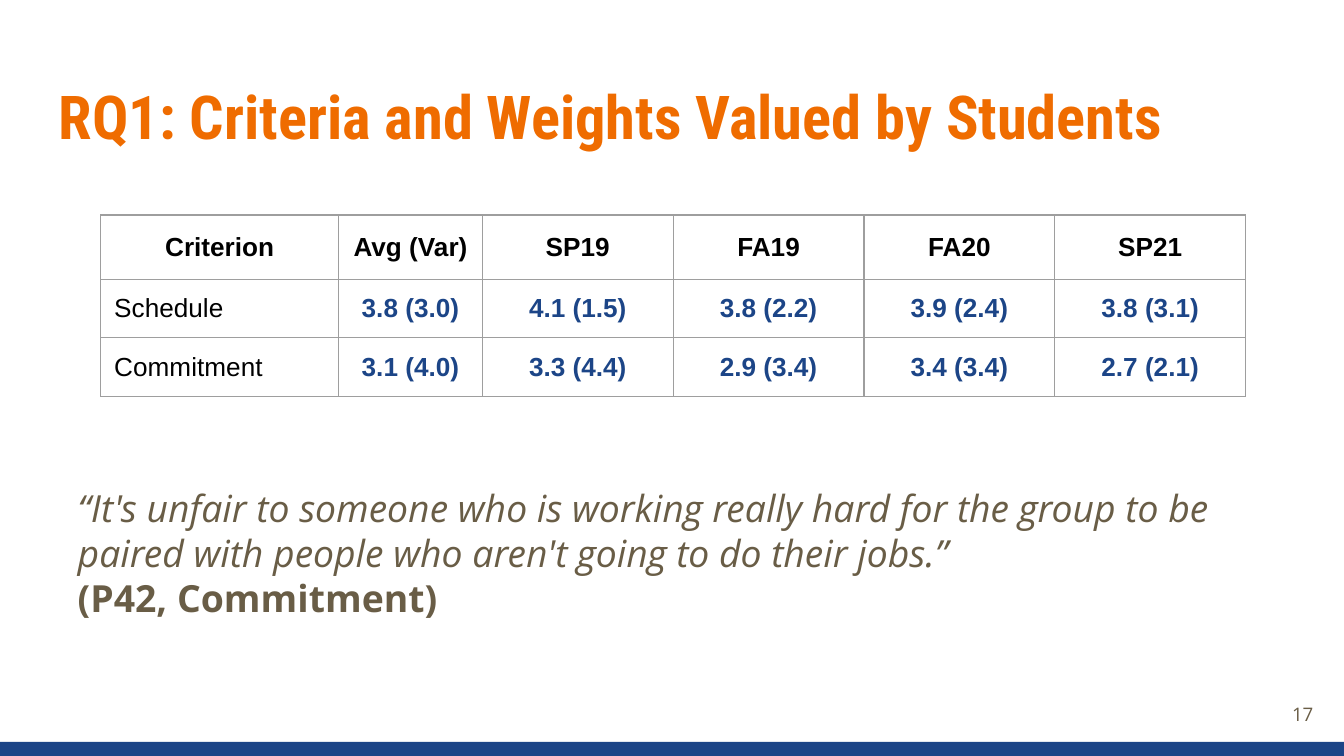
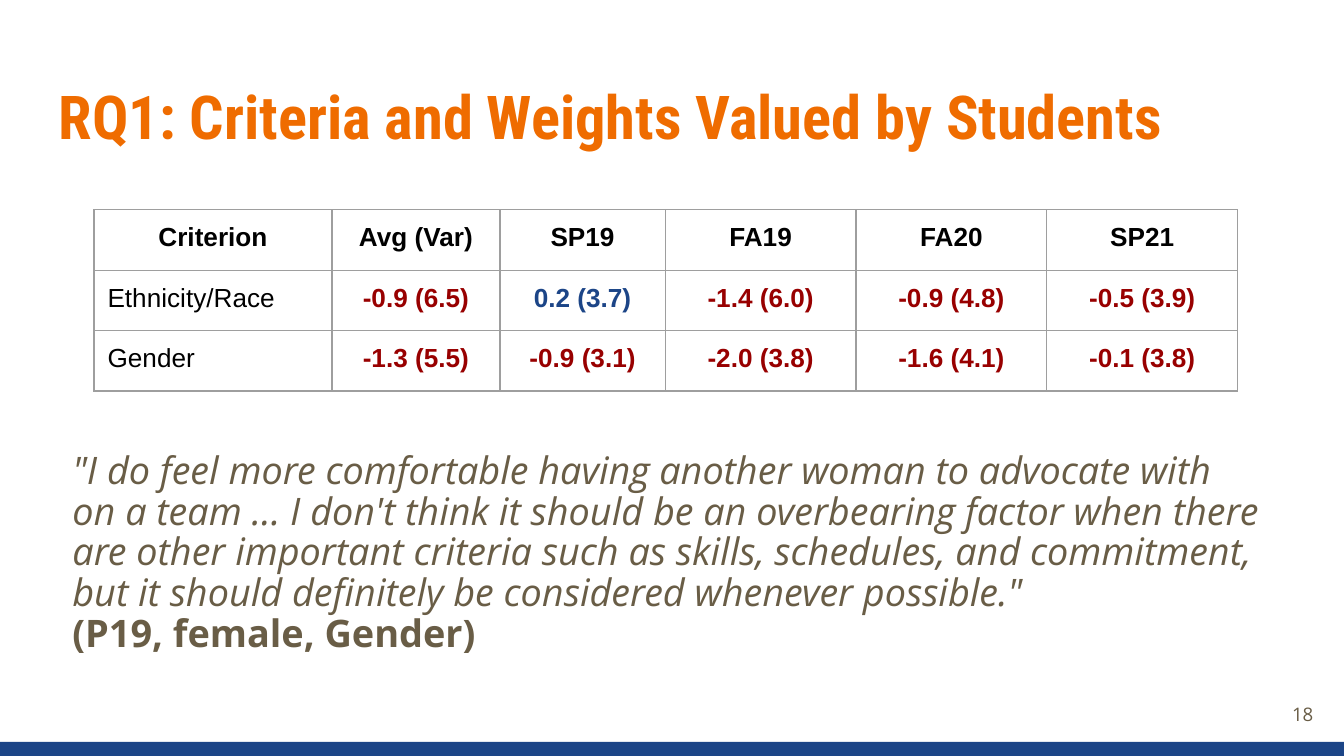
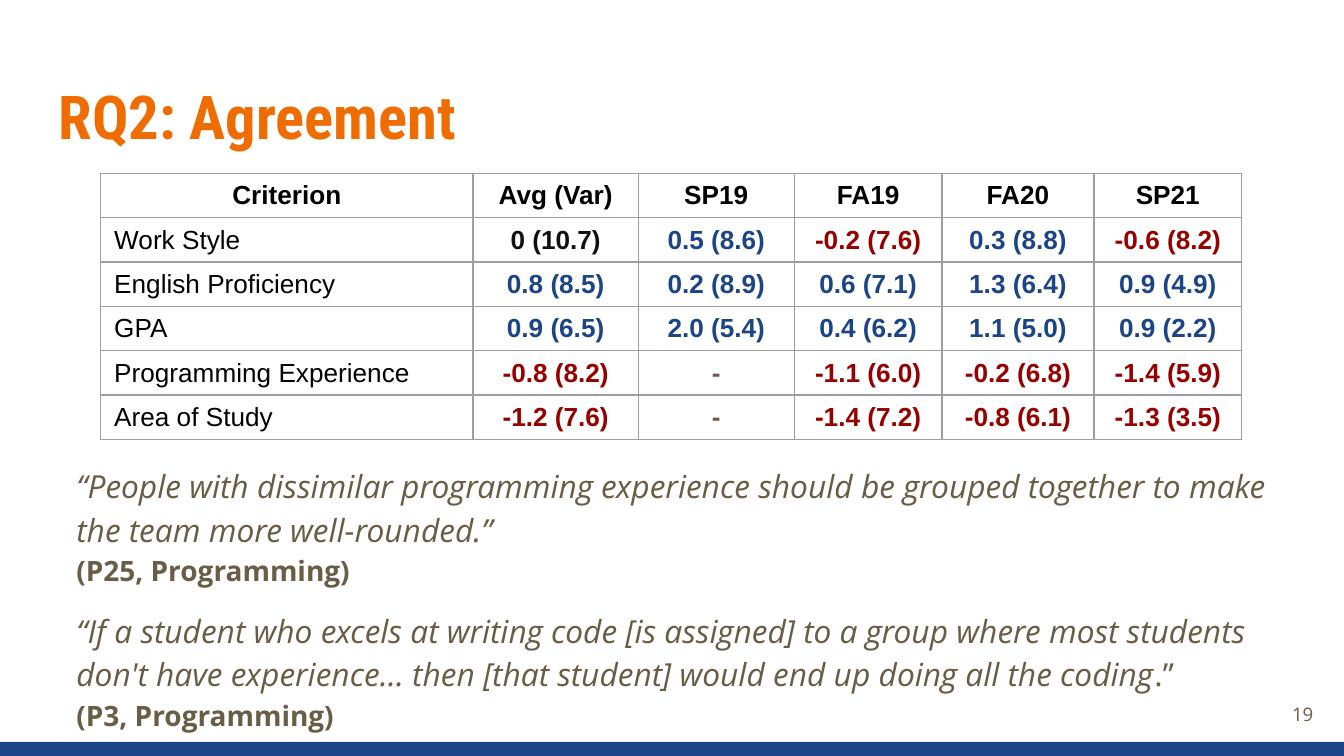
from lxml import etree
from pptx import Presentation
from pptx.dml.color import RGBColor
from pptx.enum import shapes, text
from pptx.oxml import ns
from pptx.util import Inches, Pt

BLUE, ORANGE, RED = "1C4587", "EF6C00", "980000"
BROWN, BLACK, DARK, GRAY = "695D46", "000000", "111111", "9E9E9E"
HEAD, BODY, GRID = "Roboto Condensed", "Open Sans", "Arial"
TOP, MID = text.MSO_ANCHOR.TOP, text.MSO_ANCHOR.MIDDLE
CENTER, RIGHT = text.PP_ALIGN.CENTER, text.PP_ALIGN.RIGHT

FIRST_PAGE = 17
COLUMNS = ["Criterion", "Avg (Var)", "SP19", "FA19", "FA20", "SP21"]
WEIGHTS = "RQ1: Criteria and Weights Valued by Students"
ITALIC, BOLD = {"italic": True}, {"bold": True}

# A quote is a list of paragraphs; a paragraph is a list of (text, format) runs.
SLIDES = [
    {
        "title": WEIGHTS,
        "rows": [
            ["Schedule", "3.8 (3.0)", "4.1 (1.5)", "3.8 (2.2)", "3.9 (2.4)", "3.8 (3.1)"],
            ["Commitment", "3.1 (4.0)", "3.3 (4.4)", "2.9 (3.4)", "3.4 (3.4)", "2.7 (2.1)"],
        ],
        "grid": {"at": (0.75, 1.6), "widths": [1.77, 1.07] + [1.42] * 4,
                 "heights": [0.48, 0.41, 0.41]},
        "quote": [
            [("“It's unfair to someone who is working really hard for the group to be "
              "paired with people who aren't going to do their jobs.”", ITALIC)],
            [("(P42, Commitment)", BOLD)],
        ],
        "box": {"at": (0.48, 3.18, 9.18, 1.81), "size": 20, "inset": 0.43},
    },
    {
        "title": WEIGHTS,
        "rows": [
            ["Ethnicity/Race", "-0.9 (6.5)", "0.2 (3.7)", "-1.4 (6.0)", "-0.9 (4.8)", "-0.5 (3.9)"],
            ["Gender", "-1.3 (5.5)", "-0.9 (3.1)", "-2.0 (3.8)", "-1.6 (4.1)", "-0.1 (3.8)"],
        ],
        "grid": {"at": (0.7, 1.56), "widths": [1.77, 1.25, 1.23] + [1.42] * 3,
                 "heights": [0.45] * 3, "anchor": TOP},
        "quote": [
            [("\"I do feel more comfortable having another woman to advocate with on a team … "
              "I don't think it should be an overbearing factor when there are other important "
              "criteria such as skills, schedules, and commitment, but it should definitely be "
              "considered whenever possible.\"", ITALIC)],
            [("(P19, female, Gender)", BOLD)],
        ],
        "box": {"at": (0.44, 3.26, 9.05, 1.9), "size": 20.3, "spacing": 0.9},
    },
    {
        "title": "RQ2: Agreement",
        "rows": [
            ["Work Style", "0 (10.7)", "0.5 (8.6)", "-0.2 (7.6)", "0.3 (8.8)", "-0.6 (8.2)"],
            ["English Proficiency", "0.8 (8.5)", "0.2 (8.9)", "0.6 (7.1)", "1.3 (6.4)", "0.9 (4.9)"],
            ["GPA", "0.9 (6.5)", "2.0 (5.4)", "0.4 (6.2)", "1.1 (5.0)", "0.9 (2.2)"],
            ["Programming Experience", "-0.8 (8.2)", "-", "-1.1 (6.0)", "-0.2 (6.8)", "-1.4 (5.9)"],
            ["Area of Study", "-1.2 (7.6)", "-", "-1.4 (7.2)", "-0.8 (6.1)", "-1.3 (3.5)"],
        ],
        "grid": {"at": (0.75, 1.29), "widths": [2.77, 1.23, 1.16, 1.1, 1.13, 1.1],
                 "heights": [0.33] * 6, "pad": 0},
        "quote": [
            [("“People with dissimilar programming experience should be grouped together to "
              "make the team more well-rounded.”\n", ITALIC),
             ("(P25, Programming)", {"bold": True, "size": 15})],
            [("“If a student who excels at writing code [is assigned] to a group where most "
              "students don't have experience… then [that student] would end up doing all "
              "the coding", ITALIC),
             (".”\n", {}),
             ("(P3, Programming)", {"bold": True, "size": 15})],
        ],
        "box": {"at": (0.47, 3.33, 9.32, 2.67), "size": 17, "spacing": 1.15, "gap": 10},
    },
]


def rgb(code):
    return RGBColor.from_string(code)


def add_run(para, words, size=14, font=BODY, color=BROWN, bold=False, italic=False):
    """Add formatted words; a closing newline becomes a line break."""
    run = para.add_run()
    run.text = words.rstrip("\n")
    face = run.font
    face.size, face.name, face.bold, face.italic = Pt(size), font, bold, italic
    face.color.rgb = rgb(color)
    if words.endswith("\n"):
        para.add_line_break()


def add_text(slide, at, paras, anchor=TOP, align=None, inset=0.1, spacing=None, gap=0, **style):
    frame = slide.shapes.add_textbox(*map(Inches, at)).text_frame
    frame.word_wrap = True
    frame.vertical_anchor = anchor
    frame.margin_left = frame.margin_right = frame.margin_bottom = Inches(0.1)
    frame.margin_top = Inches(inset)
    for i, runs in enumerate(paras):
        para = frame.add_paragraph() if i else frame.paragraphs[0]
        para.alignment = align
        if spacing:
            para.line_spacing = spacing
        if i and gap:
            para.space_before = Pt(gap)
        for words, own in runs:
            add_run(para, words, **{**style, **own})


def tint(value):
    """Colour of a value by its sign."""
    if value == "-":
        return BROWN
    mean = float(value.split()[0])
    return BLUE if mean > 0 else RED if mean < 0 else DARK


def add_edges(cell):
    props = cell._tc.get_or_add_tcPr()
    for side in "LRTB":
        line = etree.SubElement(props, ns.qn("a:ln" + side), w=str(Pt(0.75)))
        fill = etree.SubElement(line, ns.qn("a:solidFill"))
        etree.SubElement(fill, ns.qn("a:srgbClr"), val=GRAY)


def add_grid(slide, rows, at, widths, heights, anchor=MID, pad=0.1):
    size = sum(widths), sum(heights)
    table = slide.shapes.add_table(len(heights), len(widths), *map(Inches, at + size)).table
    table.first_row = table.horz_banding = False
    for col, width in zip(table.columns, widths):
        col.width = Inches(width)
    for row, height in zip(table.rows, heights):
        row.height = Inches(height)
    for r, values in enumerate([COLUMNS] + rows):
        for c, value in enumerate(values):
            cell = table.cell(r, c)
            cell.vertical_anchor = anchor
            cell.margin_left = cell.margin_right = Inches(0.1)
            cell.margin_top = cell.margin_bottom = Inches(pad)
            add_edges(cell)
            cell.fill.background()
            label = r > 0 and c == 0
            para = cell.text_frame.paragraphs[0]
            if not label:
                para.alignment = CENTER
            color = tint(value) if r and c else BLACK
            add_run(para, value, font=GRID, color=color, bold=not label)


def add_band(slide):
    band = slide.shapes.add_shape(shapes.MSO_SHAPE.RECTANGLE,
                                  *map(Inches, (0, 5.52, 10, 0.11)))
    band.shadow.inherit = False
    band.fill.solid()
    band.fill.fore_color.rgb = rgb(BLUE)
    band.line.fill.background()


def main():
    deck = Presentation()
    deck.slide_width, deck.slide_height = Inches(10), Inches(5.625)
    for page, item in enumerate(SLIDES, FIRST_PAGE):
        slide = deck.slides.add_slide(deck.slide_layouts[6])
        add_band(slide)
        add_text(slide, (0.34, 0.49, 9.32, 0.77), [[(item["title"], BOLD)]],
                 size=32.4, font=HEAD, color=ORANGE)
        add_text(slide, paras=item["quote"], **item["box"])
        add_grid(slide, item["rows"], **item["grid"])
        add_text(slide, (9.27, 5.1, 0.6, 0.43), [[(str(page), {})]],
                 anchor=MID, align=RIGHT, size=10)
    deck.save("out.pptx")


if __name__ == "__main__":
    main()
